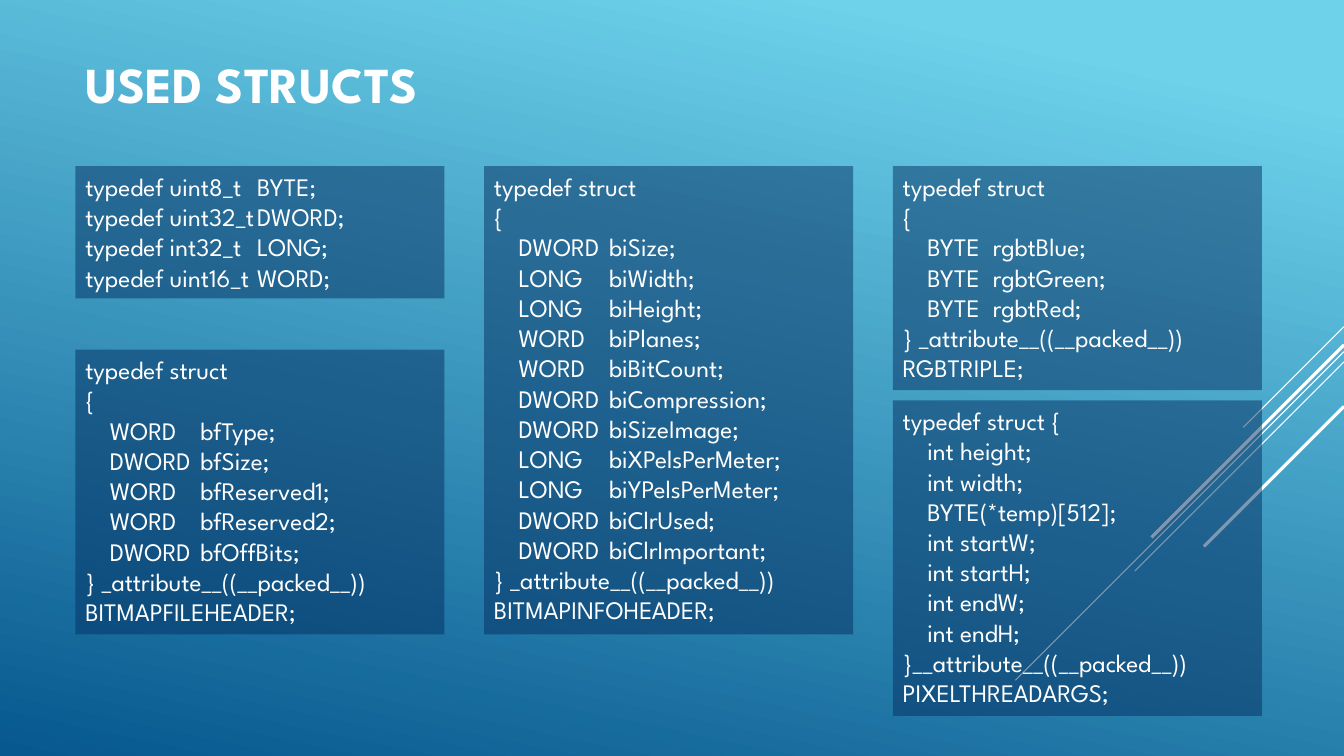
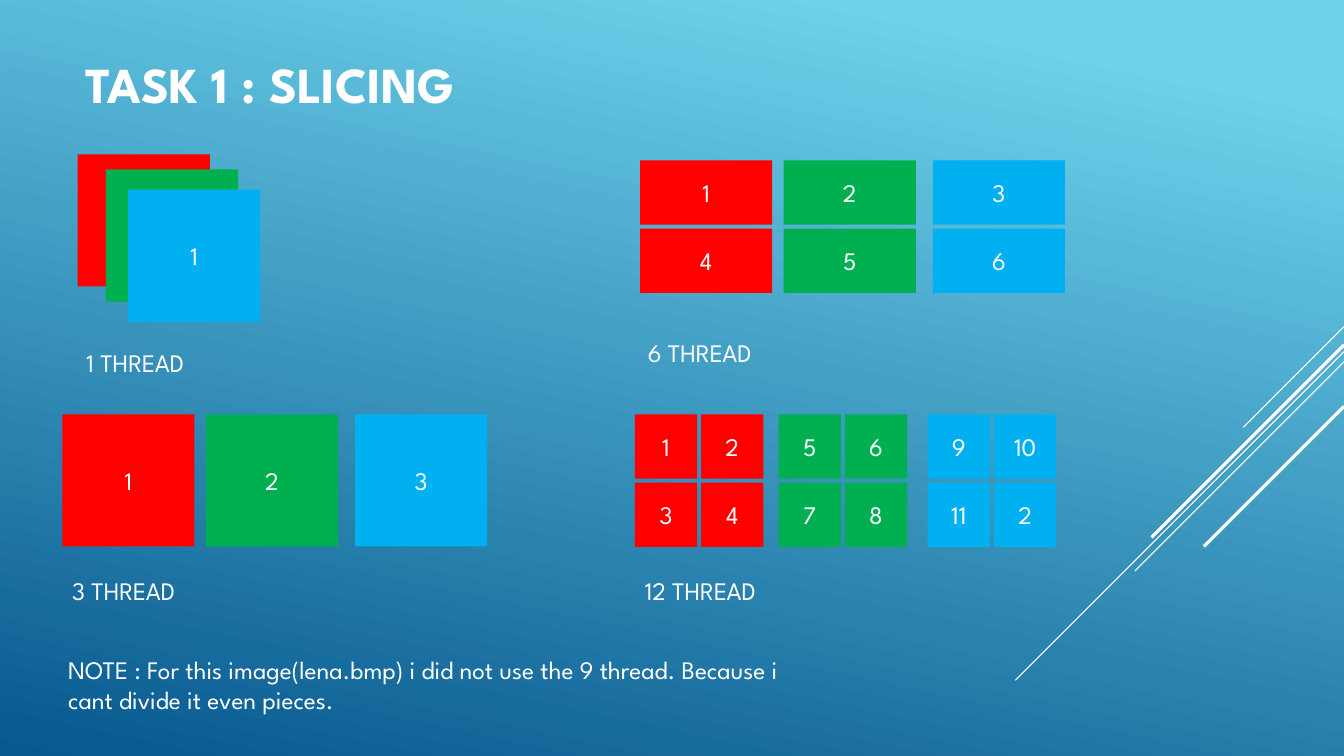
import pptx
import pptx.util
import pptx.dml.color
import pptx.enum.shapes
import pptx.enum.text
import pptx.oxml
import pptx.oxml.ns
from lxml import etree

Cm = pptx.util.Cm
Pt = pptx.util.Pt
align = pptx.enum.text.PP_ALIGN
anchor = pptx.enum.text.MSO_ANCHOR
qn = pptx.oxml.ns.qn

FACE = "League Spartan"
WHITE, NAVY = "FFFFFF", "052F61"
HUES = ["FF0000", "00B050", "00B0F0"]


def tint(code):
    """Return the colour for a hex string."""
    return pptx.dml.color.RGBColor.from_string(code)


def box(shapes, text, x, y, w, h, fill=None, side=align.LEFT, hold=anchor.TOP):
    """Add a text box, or a filled rectangle if a fill is given; sizes in cm."""
    place = Cm(x), Cm(y), Cm(w), Cm(h)
    if fill:
        shape = shapes.add_shape(pptx.enum.shapes.MSO_SHAPE.RECTANGLE, *place)
        shape.shadow.inherit = False
        shape.fill.solid()
        shape.fill.fore_color.rgb = tint(fill)
        shape.line.fill.background()
    else:
        shape = shapes.add_textbox(*place)
    frame = shape.text_frame
    frame.word_wrap = True
    frame.vertical_anchor = hold
    frame.text = text
    for para in frame.paragraphs:
        para.alignment = side
        para.font.name = FACE
        para.font.size = Pt(18)
        para.font.color.rgb = tint(WHITE)
    return shape


deck = pptx.Presentation()
deck.slide_width, deck.slide_height = Cm(33.87), Cm(19.05)

# Shared look: background, title place, diagonal lines
back = deck.slide_master.background.fill
back.gradient()
back.gradient_angle = 360 - 102
for stop, spot, code in zip(back.gradient_stops, [0.1, 1], ["6ED2EB", "06588E"]):
    stop.position = spot
    stop.color.rgb = tint(code)

layout = deck.slide_layouts.get_by_name("Title Only")
head = layout.placeholders[0]
head.left, head.top, head.width, head.height = Cm(1.9), Cm(0), Cm(23.7), Cm(4.19)

slides = []
for text in ["USED STRUCTS", "TASK 1 : SLICING"]:
    slide = deck.slides.add_slide(layout)
    title = slide.shapes.title.text_frame
    title.text = text
    title.vertical_anchor = anchor.MIDDLE
    para = title.paragraphs[0]
    para.alignment = align.LEFT
    para.font.name = FACE
    para.font.size = Pt(36)
    para.font.bold = True
    para.font.color.rgb = tint(WHITE)
    slides.append(slide)
structs, slicing = slides

# Each line falls at 45 degrees from the right edge: start height, run, weight
rays = structs.shapes.add_group_shape()
for y, run, weight in [(8.23, 2.54, 0.75), (8.86, 8.28, 0.75), (9.12, 5.27, 0.75),
                       (8.69, 4.85, 2.25), (10.24, 3.53, 2.25)]:
    ray = rays.shapes.add_connector(pptx.enum.shapes.MSO_CONNECTOR.STRAIGHT,
                                    Cm(33.87), Cm(y), Cm(33.87 - run), Cm(y + run))
    ray.line.color.rgb = tint(WHITE)
    ray.line.width = Pt(weight)
    etree.SubElement(ray.element.spPr, qn("a:effectLst"))
layout.shapes.element.append(rays.element)

# Slide 1: code panels as column, top, height, tab stops, code
panels = [
    (0, 4.19, 3.33, [4.33], """typedef uint8_t\tBYTE;
typedef uint32_t\tDWORD;
typedef int32_t\tLONG;
typedef uint16_t\tWORD;"""),
    (0, 8.81, 7.18, [0.62, 2.9], """typedef struct
{
\tWORD\tbfType;
\tDWORD\tbfSize;
\tWORD\tbfReserved1;
\tWORD\tbfReserved2;
\tDWORD\tbfOffBits;
} _attribute__((__packed__))
BITMAPFILEHEADER;"""),
    (1, 4.19, 11.8, [0.62, 2.9], """typedef struct
{
\tDWORD\tbiSize;
\tLONG\tbiWidth;
\tLONG\tbiHeight;
\tWORD\tbiPlanes;
\tWORD\tbiBitCount;
\tDWORD\tbiCompression;
\tDWORD\tbiSizeImage;
\tLONG\tbiXPelsPerMeter;
\tLONG\tbiYPelsPerMeter;
\tDWORD\tbiClrUsed;
\tDWORD\tbiClrImportant;
} _attribute__((__packed__))
BITMAPINFOHEADER;"""),
    (2, 4.19, 5.64, [0.62, 2.27], """typedef struct
{
\tBYTE\trgbtBlue;
\tBYTE\trgbtGreen;
\tBYTE\trgbtRed;
} _attribute__((__packed__))
RGBTRIPLE;"""),
    (2, 10.09, 7.95, [0.62], """typedef struct {
\tint height;
\tint width;
\tBYTE(*temp)[512];
\tint startW;
\tint startH;
\tint endW;
\tint endH;
}__attribute__((__packed__))
PIXELTHREADARGS;"""),
]
for col, y, h, stops, code in panels:
    panel = box(structs.shapes, code, 1.9 + 10.3 * col, y, 9.3, h, NAVY)
    shade = next(panel.element.spPr.iter(qn("a:srgbClr")))
    etree.SubElement(shade, qn("a:alpha")).set("val", "50000")
    for para in panel.text_frame.paragraphs:
        tabs = pptx.oxml.parse_xml(f'<a:tabLst {pptx.oxml.ns.nsdecls("a")}/>')
        for stop in stops:
            tab = etree.SubElement(tabs, qn("a:tab"))
            tab.set("pos", str(Cm(stop)))
            tab.set("algn", "l")
        para.font._element.addprevious(tabs)

# Slide 2: one stack, then boards of three colour blocks
SIDE = 3.33
for x, y, hue, text in zip([1.96, 2.67, 3.23], [3.89, 4.27, 4.78], HUES, ["", "", "1"]):
    box(slicing.shapes, text, x, y, SIDE, SIDE, hue, align.CENTER, anchor.MIDDLE)

# Board: left, top, columns per block, cell size, labels of each block
boards = [
    (1.57, 10.44, 1, SIDE, SIDE, ["1", "2", "3"]),
    (16.13, 4.04, 1, SIDE, 1.62, ["1 4", "2 5", "3 6"]),
    (16, 10.44, 2, 1.57, 1.62, ["1 2 3 4", "5 6 7 8", "9 10 11 2"]),
]
GAP = 0.1
for left, top, cols, w, h, blocks in boards:
    board = slicing.shapes.add_group_shape()
    for shift, hue, block in zip([0, 3.62, 7.38], HUES, blocks):
        for i, text in enumerate(block.split()):
            row, col = divmod(i, cols)
            box(board.shapes, text, left + shift + col * (w + GAP), top + row * (h + GAP),
                w, h, hue, align.CENTER, anchor.MIDDLE)

for count, x, y in [(1, 1.93, 8.64), (3, 1.57, 14.38), (6, 16.08, 8.38), (12, 16, 14.38)]:
    box(slicing.shapes, f"{count} THREAD", x, y, 4.17, 1.02)
box(slicing.shapes, "NOTE : For this image(lena.bmp) i did not use the 9 thread. "
    "Because i cant divide it even pieces.", 1.47, 16.36, 18.67, 1.8)

deck.save("out.pptx")
